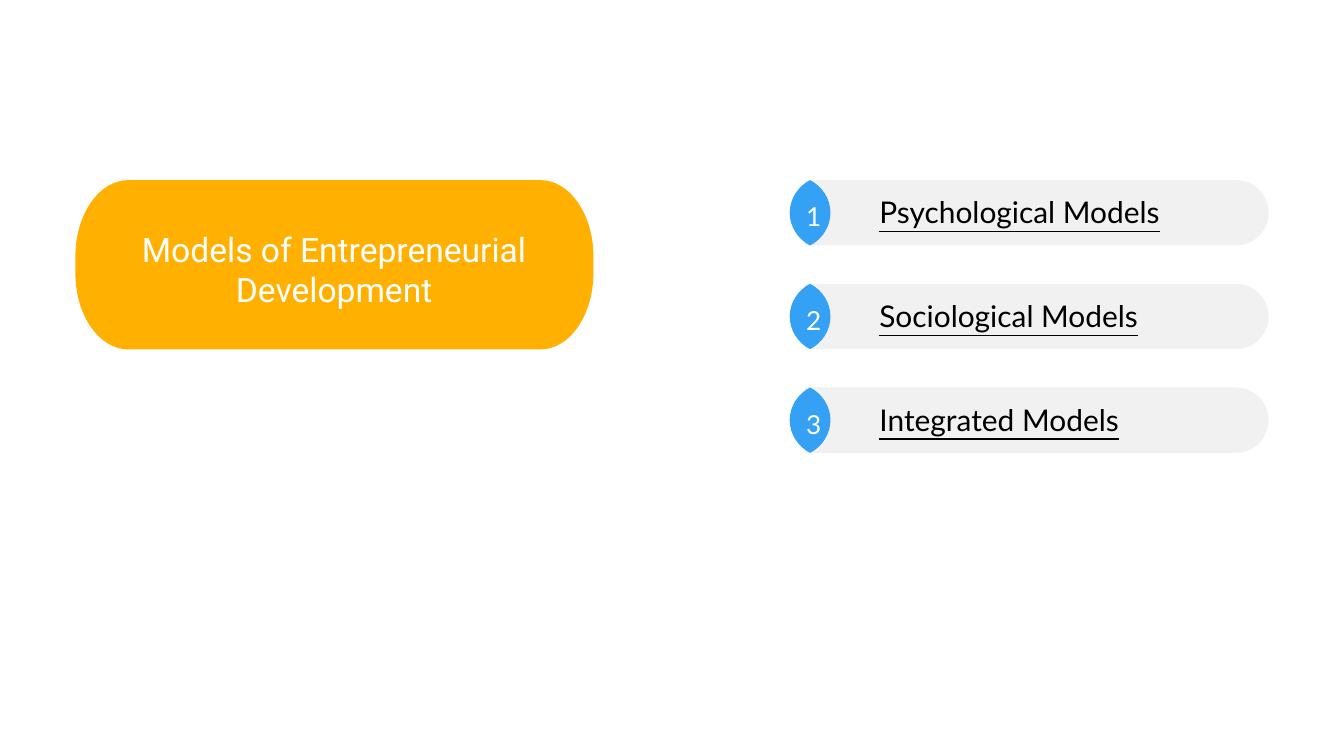
from lxml.etree import SubElement
from pptx import Presentation
from pptx.dml.color import RGBColor
from pptx.enum.text import MSO_ANCHOR as Anchor, MSO_AUTO_SIZE as AutoSize, PP_ALIGN as Align
from pptx.oxml.ns import qn
from pptx.util import Cm, Pt

MODELS = ["Psychological Models", "Sociological Models", "Integrated Models"]
TOP, ROW_PITCH, BAR_HEIGHT = 6.81, 3.92, 2.47
BAR_LEFT, BAR_RIGHT = 30.43, 47.95
LENS_LEFT, LENS_WIDTH = 29.85, 1.54
CARD_LEFT, CARD_WIDTH, CARD_HEIGHT = 2.85, 19.58, 6.4
CORNER_X, CORNER_Y = 2, 2.88

# Bezier handles as fractions of the way from a curve's start to its end
FROM_FLAT = ((0.55, 0), (1, 0.45))
FROM_UPRIGHT = ((0, 0.55), (0.45, 1))
FROM_TIP = ((0.6, 0.19), (1, 0.58))
TO_TIP = ((0, 0.42), (0.4, 0.81))


def add_outline(page, start, steps, color):
    """Draw a closed outline; each step is (x, y, handles), with no handles for a line."""
    points, lengths = [], []
    x0, y0 = start
    for x, y, handles in steps:
        points += [(x0 + (x - x0) * fx, y0 + (y - y0) * fy) for fx, fy in handles]
        points.append((x, y))
        lengths.append(len(handles) + 1)
        x0, y0 = x, y
    builder = page.shapes.build_freeform(Cm(start[0]), Cm(start[1]))
    builder.add_line_segments([(Cm(x), Cm(y)) for x, y in points], close=True)
    shape = builder.convert_to_shape()

    lines = iter(list(shape.element.iter(qn("a:lnTo"))))
    for length in lengths:
        parts = [next(lines) for _ in range(length)]
        if length == 3:
            outline = parts[0].getparent()
            curve = SubElement(outline, qn("a:cubicBezTo"))
            parts[0].addprevious(curve)
            for part in parts:
                curve.append(part[0])
                outline.remove(part)

    shape.shadow.inherit = False
    shape.fill.solid()
    shape.fill.fore_color.rgb = RGBColor.from_string(color)
    shape.line.fill.background()
    return shape


deck = Presentation()
deck.slide_width, deck.slide_height = Cm(50.8), Cm(28.58)
page = deck.slides.add_slide(deck.slide_layouts[5])

# Numbered list of models
half_height = BAR_HEIGHT / 2
bend = BAR_RIGHT - half_height
lens_middle, lens_right = LENS_LEFT + LENS_WIDTH / 2, LENS_LEFT + LENS_WIDTH
for row, model in enumerate(MODELS):
    top = TOP + row * ROW_PITCH
    middle, bottom = top + half_height, top + BAR_HEIGHT

    add_outline(page, (BAR_LEFT, top), [
        (bend, top, ()),
        (BAR_RIGHT, middle, FROM_FLAT),
        (bend, bottom, FROM_UPRIGHT),
        (BAR_LEFT, bottom, ()),
    ], "F1F1F1")
    add_outline(page, (lens_middle, top), [
        (lens_right, middle, FROM_TIP),
        (lens_middle, bottom, TO_TIP),
        (LENS_LEFT, middle, FROM_TIP),
        (lens_middle, top, TO_TIP),
    ], "35A1F4")

    for text, left, offset, width, height, inset, size, spacing, color, align, anchor in (
        (str(row + 1), 29.64, 0.45, 2.24, 2.03, 0.15, 28, 28, "FFFFFF", Align.CENTER, Anchor.MIDDLE),
        (model, 33.24, 0.3, 12.55, 1.52, 0, 32, 44.8, "000000", Align.LEFT, Anchor.TOP),
    ):
        box = page.shapes.add_textbox(Cm(left), Cm(top + offset), Cm(width), Cm(height))
        frame = box.text_frame
        frame.word_wrap = True
        frame.vertical_anchor = anchor
        frame.margin_left = frame.margin_right = Cm(inset)
        frame.margin_top = frame.margin_bottom = Cm(inset)
        para = frame.paragraphs[0]
        para.alignment = align
        para.line_spacing = Pt(spacing)
        span = para.add_run()
        span.text = text
        span.font.name = "Lato"
        span.font.size = Pt(size)
        span.font.underline = text == model
        span.font.color.rgb = RGBColor.from_string(color)

# Title card
card_right, card_bottom = CARD_LEFT + CARD_WIDTH, TOP + CARD_HEIGHT
left_x, right_x = CARD_LEFT + CORNER_X, card_right - CORNER_X
upper_y, lower_y = TOP + CORNER_Y, card_bottom - CORNER_Y
card = add_outline(page, (left_x, TOP), [
    (right_x, TOP, ()),
    (card_right, upper_y, FROM_FLAT),
    (card_right, lower_y, ()),
    (right_x, card_bottom, FROM_UPRIGHT),
    (left_x, card_bottom, ()),
    (CARD_LEFT, lower_y, FROM_FLAT),
    (CARD_LEFT, upper_y, ()),
    (left_x, TOP, FROM_UPRIGHT),
], "FFB001")

title = page.shapes.title
card.element.addnext(title.element)  # the title lies on top of its card
title.left, title.top, title.width, title.height = Cm(2), Cm(8.51), Cm(21.26), Cm(3.33)
frame = title.text_frame
frame.word_wrap = True
frame.auto_size = AutoSize.NONE
frame.vertical_anchor = Anchor.TOP
para = frame.paragraphs[0]
para.alignment = Align.CENTER
span = para.add_run()
span.text = "Models of Entrepreneurial Development"
span.font.name = "Roboto"
span.font.size = Pt(36)
span.font.color.rgb = RGBColor.from_string("FFFFFF")

deck.save("out.pptx")
